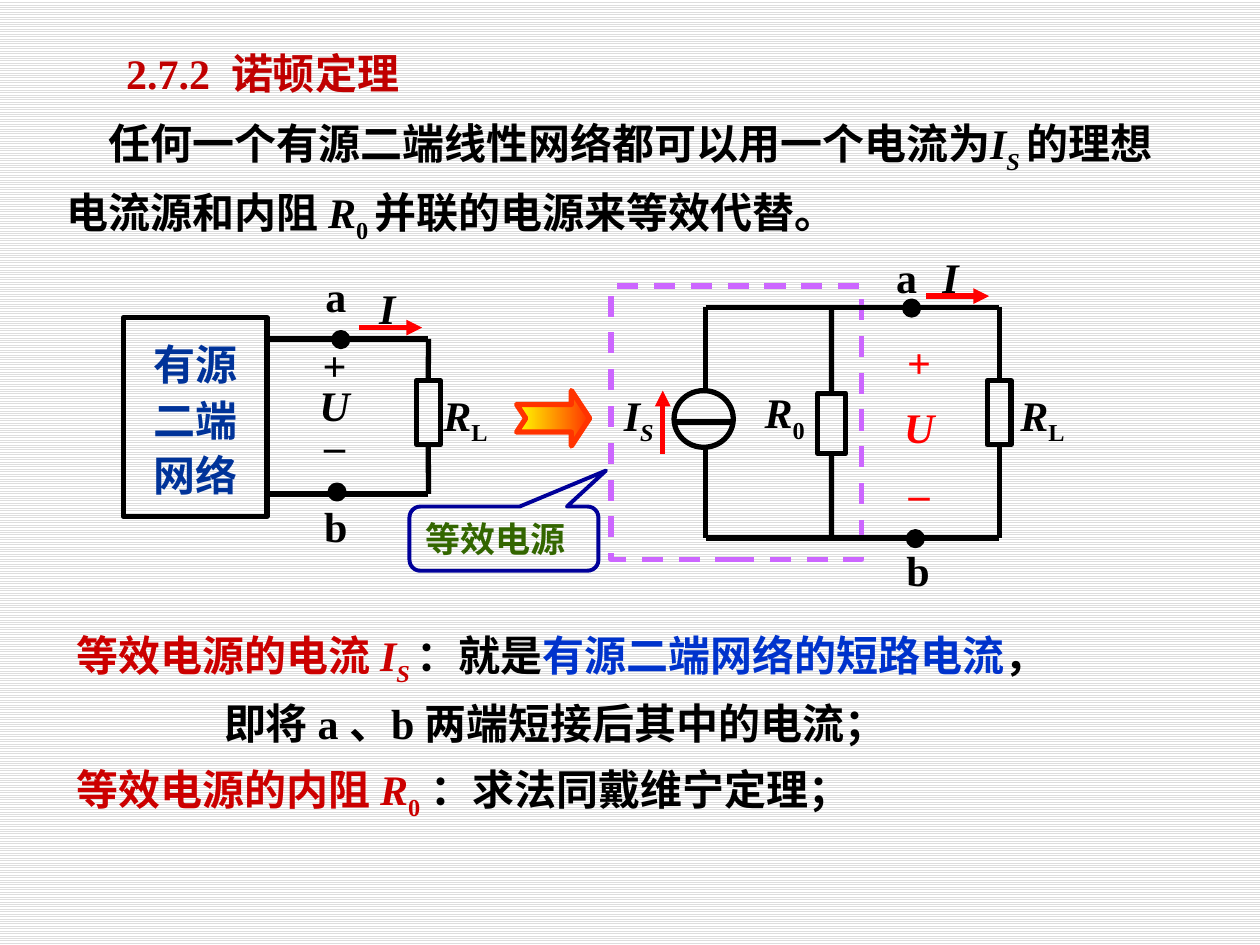
from dataclasses import dataclass

from lxml.etree import SubElement
from pptx import Presentation
from pptx.dml.color import RGBColor
from pptx.enum.dml import MSO_LINE, MSO_PATTERN
from pptx.enum.shapes import MSO_CONNECTOR as CXN, MSO_SHAPE as SHAPE
from pptx.enum.text import MSO_ANCHOR as ANCHOR, MSO_AUTO_SIZE as FIT, PP_ALIGN as ALIGN
from pptx.oxml.ns import qn
from pptx.util import Inches, Pt


@dataclass(frozen=True)
class Theme:
    font: str = "Times New Roman"
    body: int = 24
    small: int = 20
    stroke: float = 3
    black: str = "000000"
    title: str = "C00000"
    term: str = "CC0000"
    accent: str = "0033CC"
    network: str = "003399"
    signal: str = "FF0000"
    dashed: str = "CC66FF"
    callout: str = "000099"
    callout_text: str = "336600"
    arrow_start: str = "FFFF00"
    arrow_end: str = "FF3300"
    stripe: str = "DDDDDD"
    paper: str = "FFFFFF"


T = Theme()


def rgb(value):
    return RGBColor.from_string(value)


def write(tf, paragraphs, color=T.black, size=T.body, align=ALIGN.LEFT, spacing=None, indents=()):
    """Each paragraph is a list of (text, style, colour) runs; style: i italic, s subscript."""
    for n, runs in enumerate(paragraphs):
        p = tf.paragraphs[0] if n == 0 else tf.add_paragraph()
        p.alignment = align
        if spacing:
            p.line_spacing = spacing
        if n < len(indents):
            p._p.get_or_add_pPr().set("indent", str(Inches(indents[n])))
        p.font.name, p.font.size, p.font.bold = T.font, Pt(size), True
        p.font.color.rgb = rgb(color)
        for text, style, own_color in runs:
            r = p.add_run()
            r.text = text
            if "i" in style:
                r.font.italic = True
            if "s" in style:
                r._r.get_or_add_rPr().set("baseline", "-25000")
            if own_color:
                r.font.color.rgb = rgb(own_color)


def run(text, style="", color=None):
    return text, style, color


def text_box(shapes, box, paragraphs, wrap=False, anchor=ANCHOR.TOP, **style):
    tf = shapes.add_textbox(*map(Inches, box)).text_frame
    tf.word_wrap, tf.vertical_anchor = wrap, anchor
    tf.auto_size = FIT.SHAPE_TO_FIT_TEXT
    write(tf, paragraphs, **style)


def label(shapes, box, *runs, align=ALIGN.CENTER):
    text_box(shapes, box, [runs], align=align)


def outline(shapes, kind, box, color=T.black, width=T.stroke, fill=None):
    sp = shapes.add_shape(kind, *map(Inches, box))
    sp.shadow.inherit = False
    sp.line.color.rgb, sp.line.width = rgb(color), Pt(width)
    if fill:
        sp.fill.solid()
        sp.fill.fore_color.rgb = rgb(fill)
    else:
        sp.fill.background()
    return sp


def wire(shapes, start, end, color=T.black, arrow=False):
    line = shapes.add_connector(CXN.STRAIGHT, *map(Inches, (*start, *end)))
    line.line.color.rgb, line.line.width = rgb(color), Pt(T.stroke)
    if arrow:
        SubElement(line.line._get_or_add_ln(), qn("a:tailEnd"), type="triangle")
    SubElement(line._element.spPr, qn("a:effectLst"))
    return line


def resistor(shapes, x, top, size, rails):
    """A resistor centred on x, wired to the upper and lower rails."""
    w, h = size
    body = outline(shapes, SHAPE.RECTANGLE, (x - w / 2, top, w, h))
    wire(shapes, (x, rails[0]), (x, top)).end_connect(body, 0)
    wire(shapes, (x, top + h), (x, rails[1])).begin_connect(body, 2)


def terminal(shapes, name, dot, label_box):
    outline(shapes, SHAPE.OVAL, (*dot, 0.11, 0.11), fill=T.black)
    label(shapes, label_box, run(name))


def current(shapes, x, y, label_at):
    wire(shapes, (x, y), (x + 0.5, y), T.signal, arrow=True)
    label(shapes, (*label_at, 0.33, 0.51), run("I", "i"))


def voltage(shapes, box, color, spacing):
    text_box(shapes, box, [[run("+")], [run("U", "i")], [run("–")]],
             color=color, align=ALIGN.CENTER, spacing=spacing)


def load(shapes, x, rails, label_x):
    resistor(shapes, x, 3.02, (0.19, 0.51), rails)
    label(shapes, (label_x, 3.04, 0.57, 0.51), run("R", "i"), run("L", "s"), align=ALIGN.LEFT)


def source_network(shapes):
    top, bottom, right = 2.69, 3.92, 3.4
    box = outline(shapes, SHAPE.RECTANGLE, (0.98, 2.52, 1.14, 1.58))
    box.text_frame.word_wrap = False
    box.text_frame.vertical_anchor = ANCHOR.MIDDLE
    write(box.text_frame, [[run(t)] for t in ("有源", "二端", "网络")],
          color=T.network, align=ALIGN.CENTER, spacing=1.1)
    for y in (top, bottom):
        wire(shapes, (2.14, y), (right, y))
    load(shapes, right, (top, bottom), 3.42)
    terminal(shapes, "a", (2.65, 2.64), (2.48, 2.1, 0.37, 0.51))
    terminal(shapes, "b", (2.62, 3.85), (2.47, 3.92, 0.39, 0.51))
    voltage(shapes, (2.43, 2.72, 0.45, 1.07), T.black, 0.8)
    current(shapes, 2.85, 2.6, (2.91, 2.19))


def norton_circuit(shapes):
    top, bottom, left, middle, right = 2.44, 4.27, 5.6, 6.6, 7.93
    for y in (top, bottom):
        wire(shapes, (left, y), (right, y))
    # Current source
    outline(shapes, SHAPE.OVAL, (5.35, 3.1, 0.47, 0.45))
    wire(shapes, (5.35, 3.35), (5.8, 3.35))
    wire(shapes, (left, top), (left, 3.1))
    wire(shapes, (left, 3.56), (left, bottom))
    wire(shapes, (5.26, 3.6), (5.26, 3.1), T.signal, arrow=True)
    label(shapes, (4.84, 3.04, 0.46, 0.51), run("I", "i"), run("S", "is"))
    # Internal resistance and load
    resistor(shapes, middle, 3.12, (0.22, 0.48), (top, bottom))
    label(shapes, (5.97, 3.02, 0.65, 0.51), run("R", "i"), run("0", "s"), align=ALIGN.LEFT)
    load(shapes, right, (top, bottom), 8)
    # Terminals
    terminal(shapes, "a", (7.18, 2.39), (7.01, 1.95, 0.37, 0.51))
    terminal(shapes, "b", (7.21, 4.22), (7.09, 4.27, 0.39, 0.51))
    voltage(shapes, (7.07, 2.5, 0.45, 1.68), T.signal, 1.3)
    current(shapes, 7.35, 2.35, (7.38, 1.95))


def add_title(s, text):
    title = s.shapes.title
    title.left, title.top, title.width, title.height = map(Inches, (0.9, 0.16, 3.5, 0.67))
    tf = title.text_frame
    tf.vertical_anchor, tf.auto_size = ANCHOR.BOTTOM, FIT.NONE
    write(tf, [[run(text)]], color=T.title)


def add_arrow(shapes):
    arrow = outline(shapes, SHAPE.NOTCHED_RIGHT_ARROW, (4.1, 3.1, 0.58, 0.44), T.arrow_end)
    arrow.adjustments[0], arrow.adjustments[1] = 0.5, 0.33
    arrow.fill.gradient()
    arrow.fill.gradient_angle = 0
    for stop, color in zip(arrow.fill.gradient_stops, (T.arrow_start, T.arrow_end)):
        stop.color.rgb = rgb(color)


def add_callout(shapes, text):
    sp = outline(shapes, SHAPE.ROUNDED_RECTANGULAR_CALLOUT, (3.25, 4.02, 1.5, 0.51), T.callout, 2.25)
    for n, value in enumerate((0.54, -1.06, 0.17)):
        sp.adjustments[n] = value
    sp.text_frame.word_wrap = False
    sp.text_frame.vertical_anchor = ANCHOR.MIDDLE
    write(sp.text_frame, [[run(text)]], color=T.callout_text, size=T.small)


def main():
    prs = Presentation()
    prs.slide_width, prs.slide_height = Inches(10), Inches(7.5)
    s = prs.slides.add_slide(prs.slide_layouts[5])
    shapes = s.shapes

    # Striped background
    bg = s.background.fill
    bg.patterned()
    bg.pattern = MSO_PATTERN.LIGHT_HORIZONTAL
    bg.fore_color.rgb, bg.back_color.rgb = rgb(T.stripe), rgb(T.paper)

    # Title and theorem
    add_title(s, "2.7.2  诺顿定理")
    outline(shapes, SHAPE.RECTANGLE, (4.85, 2.27, 1.99, 2.17), T.dashed).line.dash_style = MSO_LINE.DASH
    text_box(shapes, (0.43, 0.86, 9, 1.06), [[
        run("任何一个有源二端线性网络都可以用一个电流为"), run("I", "i"), run("S ", "is"),
        run("的理想电流源和内阻 "), run("R", "i"), run("0 ", "s"), run("并联的电源来等效代替。")]],
        wrap=True, anchor=ANCHOR.MIDDLE, spacing=1.2, indents=[0.33])

    # Conclusions
    text_box(shapes, (0.51, 5.92, 7.24, 0.59), [[
        run("等效电源的内阻 ", "", T.term), run("R", "i", T.term), run("0", "s", T.term),
        run(" ：求法同戴维宁定理；")]], wrap=True, spacing=1.2)
    text_box(shapes, (0.51, 4.86, 8.83, 1.07), [
        [run("等效电源的电流 ", "", T.term), run("I", "i", T.term), run("S ", "is", T.term),
         run("：就是"), run("有源二端网络的短路电流", "", T.accent), run("，")],
        [run("即将 a 、b 两端短接后其中的电流；")]], wrap=True, spacing=1.2, indents=[0, 1.17])

    # Circuits and the step between them
    add_arrow(shapes)
    add_callout(shapes, "等效电源")
    norton_circuit(shapes.add_group_shape().shapes)
    source_network(shapes.add_group_shape().shapes)

    prs.save("out.pptx")


if __name__ == "__main__":
    main()
